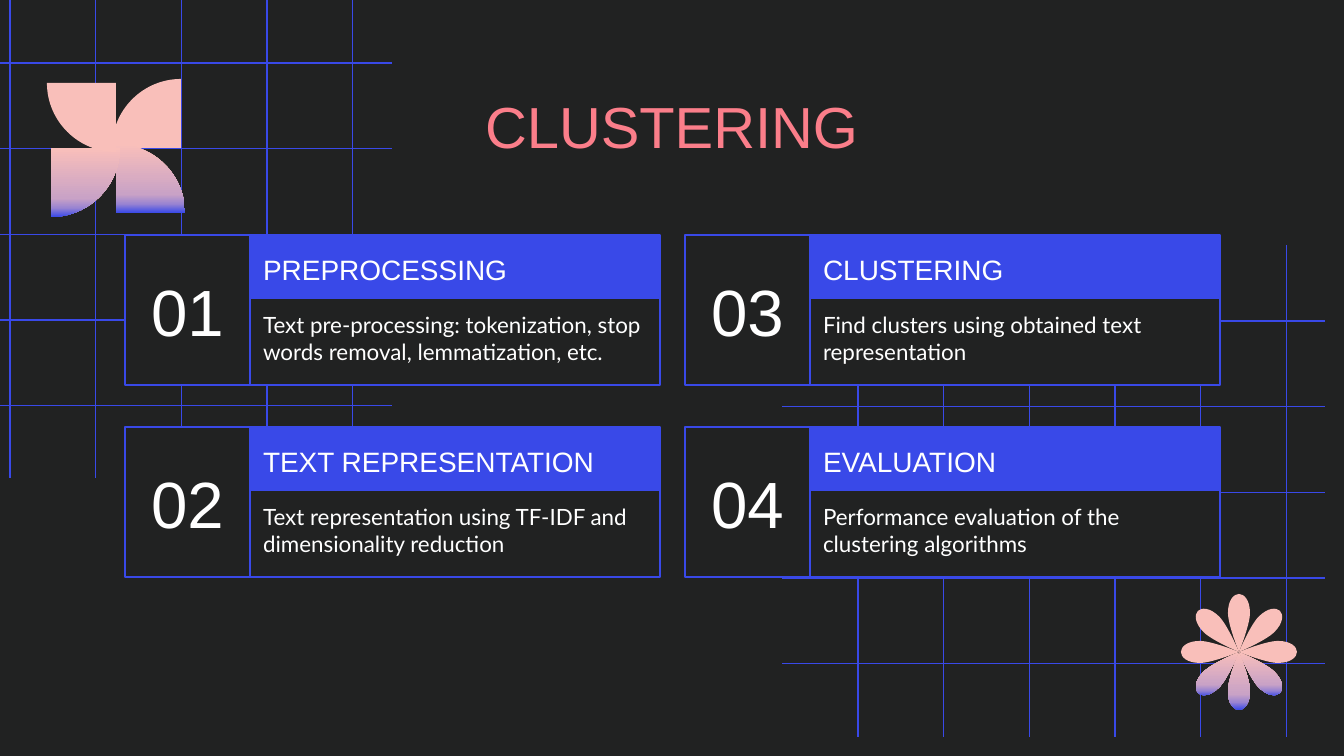
from math import cos, radians, sin

from lxml.etree import SubElement
from pptx import Presentation
from pptx.dml.color import RGBColor
from pptx.enum.shapes import MSO_CONNECTOR as Conn, MSO_SHAPE as Kind
from pptx.enum.text import MSO_ANCHOR as Anchor, MSO_AUTO_SIZE as Auto, PP_ALIGN as Align
from pptx.oxml.ns import qn
from pptx.util import Pt

DARK, BLUE, WHITE, CORAL, PINK = "212222", "3949E8", "FFFFFF", "FB7E8A", "F9BFBA"
FADE = [(0, PINK), (73, "C9A2C6"), (87, "9984D1"), (100, BLUE)]

TITLE = "CLUSTERING"
CARDS = [  # down the left column, then down the right one
    ("01", "PREPROCESSING",
     "Text pre-processing: tokenization, stop words removal, lemmatization, etc."),
    ("02", "TEXT REPRESENTATION",
     "Text representation using TF-IDF and dimensionality reduction"),
    ("03", "CLUSTERING", "Find clusters using obtained text representation"),
    ("04", "EVALUATION", "Performance evaluation of the clustering algorithms"),
]

# Grids: first column x, count, vertical span; first row y, count, horizontal span
GRIDS = [
    (858, 6, (245, 737), 321, 5, (782, 1325)),
    (10, 5, (-12, 478), 63, 5, (-152, 392)),
]
PITCH = 85.7

CARD_X, CARD_Y, STEP_X, STEP_Y = 125, 235, 560, 192
NUM_W, NUM_H, TEXT_W, HEAD_H, BODY_H = 125, 150, 410, 64, 87

FLOWER = (1239, 652)
PETAL = [  # tip, then three points for each Bezier curve
    (0, -58), (-5, -58), (-11, -52), (-11, -39), (-11, -27), (0, 0), (0, 0),
    (0, 0), (11, -27), (11, -39), (11, -52), (5, -58), (0, -58),
]
MILL, REACH, RADIUS = (116, 148), 65, 69
BEND = 0.55 * RADIUS  # control arm of a quarter circle
LEAF = [(-RADIUS, 0), (-RADIUS, -BEND), (-BEND, -RADIUS), (0, -RADIUS), (0, 0)]

SCALE = 914400 / 134.4


def px(n):
    return round(n * SCALE)


def rgb(code):
    return RGBColor.from_string(code)


def style(frame, text, size, color, font="Arial", anchor=Anchor.TOP, align=Align.LEFT):
    frame.text = text
    frame.word_wrap = True
    frame.auto_size = Auto.NONE
    frame.vertical_anchor = anchor
    frame.margin_left = frame.margin_right = px(13)
    frame.margin_top = frame.margin_bottom = px(13)
    para = frame.paragraphs[0]
    para.alignment = align
    para.font.name, para.font.size = font, Pt(size)
    para.font.color.rgb = rgb(color)


def line(x1, y1, x2, y2):
    rule = slide.shapes.add_connector(Conn.STRAIGHT, px(x1), px(y1), px(x2), px(y2))
    rule.line.color.rgb = rgb(BLUE)
    rule.line.width = Pt(0.75)
    SubElement(rule._element.spPr, qn("a:effectLst"))


def box(x, y, w, h, fill, *text, **look):
    rect = slide.shapes.add_shape(Kind.RECTANGLE, px(x), px(y), px(w), px(h))
    rect.shadow.inherit = False
    rect.fill.solid()
    rect.fill.fore_color.rgb = rgb(fill)
    rect.line.color.rgb = rgb(BLUE)
    rect.line.width = Pt(0.75)
    style(rect.text_frame, *text, **look)


def bend(form):
    """Turn each full three line steps of a freeform into one Bezier curve."""
    steps = list(form._element.iter(qn("a:lnTo")))
    for i in range(0, len(steps) - 2, 3):
        first, *more = steps[i:i + 3]
        first.tag = qn("a:cubicBezTo")
        for step in more:
            first.append(step[0])
            step.getparent().remove(step)


def fade(form):
    form.fill.gradient()
    form.fill.gradient_angle = 270
    stops = form._element.spPr.find(".//" + qn("a:gsLst"))
    for old in list(stops):
        stops.remove(old)
    for place, color in FADE:
        stop = SubElement(stops, qn("a:gs"), pos=str(place * 1000))
        SubElement(stop, qn("a:srgbClr"), val=color)


def curve(points, mid, angle, faded):
    """Draw a curved shape turned about its origin, which lies at mid."""
    start, *rest = [tuple(map(px, spin(point, mid, angle))) for point in points]
    path = slide.shapes.build_freeform(*start)
    path.add_line_segments(rest, close=True)
    form = path.convert_to_shape()
    form.shadow.inherit = False
    form.line.fill.background()
    bend(form)
    if faded:
        fade(form)
    else:
        form.fill.solid()
        form.fill.fore_color.rgb = rgb(PINK)


def spin(point, mid, angle):
    x, y = point
    c, s = cos(radians(angle)), sin(radians(angle))
    return mid[0] + x * c - y * s, mid[1] + x * s + y * c


deck = Presentation()
deck.slide_width, deck.slide_height = px(1344), px(756)
slide = deck.slides.add_slide(deck.slide_layouts[5])
slide.background.fill.solid()
slide.background.fill.fore_color.rgb = rgb(DARK)

for x, cols, (top, bottom), y, rows, (left, right) in GRIDS:
    for i in range(cols):
        line(x + i * PITCH, top, x + i * PITCH, bottom)
    for i in range(rows):
        line(right, y + i * PITCH, left, y + i * PITCH)

title = slide.shapes.title
title.left, title.top, title.width, title.height = px(105), px(78), px(1133), px(85)
style(title.text_frame, TITLE, 31, CORAL, align=Align.CENTER)

for i, (num, head, body) in enumerate(CARDS):
    col, row = divmod(i, 2)
    x, y = CARD_X + col * STEP_X, CARD_Y + row * STEP_Y
    box(x + NUM_W, y, TEXT_W, HEAD_H, BLUE, head, 15, WHITE, anchor=Anchor.BOTTOM)
    box(x + NUM_W, y + NUM_H - BODY_H, TEXT_W, BODY_H, DARK, body, 12, WHITE, font="Lato")
    box(x, y, NUM_W, NUM_H, DARK, num, 35, WHITE,
        anchor=Anchor.MIDDLE, align=Align.CENTER)

for i in range(8):
    curve(PETAL, FLOWER, 45 * i, i in (3, 4, 5))

for i in range(4):
    hub = spin((REACH, 0), MILL, 90 * i)
    curve(LEAF, hub, 90 * i, i in (1, 2))

deck.save("out.pptx")
